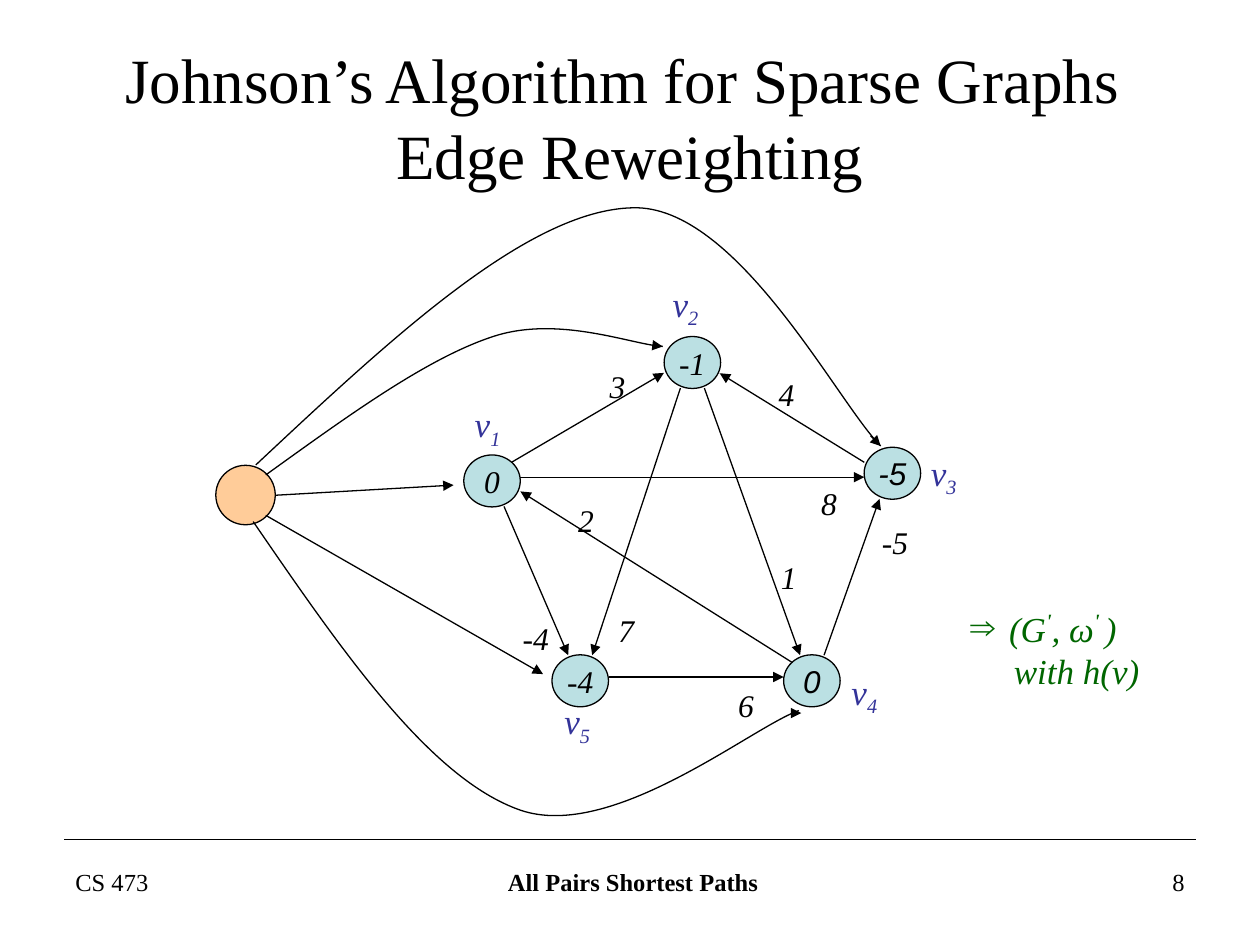
from dataclasses import dataclass

from lxml import etree
from pptx import Presentation
from pptx.dml.color import RGBColor
from pptx.enum.shapes import MSO_CONNECTOR, MSO_SHAPE
from pptx.enum.text import MSO_ANCHOR, MSO_AUTO_SIZE, PP_ALIGN
from pptx.oxml.ns import qn
from pptx.util import Pt

STRAIGHT = MSO_CONNECTOR.STRAIGHT
OVAL = MSO_SHAPE.OVAL
TOP, MIDDLE = MSO_ANCHOR.TOP, MSO_ANCHOR.MIDDLE
LEFT, CENTER, RIGHT = PP_ALIGN.LEFT, PP_ALIGN.CENTER, PP_ALIGN.RIGHT
FIT_SHAPE = MSO_AUTO_SIZE.SHAPE_TO_FIT_TEXT


@dataclass(frozen=True)
class Theme:
    ink: str = "000000"
    node: str = "BBE0E3"
    source: str = "FFCC99"
    name: str = "333399"
    note: str = "006600"
    serif: str = "Times New Roman"
    sans: str = "Arial"
    title_size: int = 36
    name_size: int = 20
    weight_size: int = 18
    footer_size: int = 14
    line_width: float = 0.75


THEME = Theme()

NODE_WIDTH, NODE_HEIGHT = 32.3, 29.7
NODES = [
    ("1", "0", THEME.serif, (0, 102), (-0.8, 68.3)),
    ("2", "-1", THEME.serif, (114.5, 34.3), (112.3, -0.3)),
    ("3", "-5", THEME.sans, (228.8, 97.6), (259.9, 96.2)),
    ("4", "0", THEME.sans, (182.8, 216.2), (214.5, 221.4)),
    ("5", "-4", THEME.serif, (50.4, 216.2), (50.4, 238)),
]
EDGES = [
    ("3", (76.3, 48.2), (27.3, 106.2), (114.4, 55.1)),
    ("4", (172.8, 52.5), (228.9, 106.2), (146.3, 55.3)),
    ("-5", (231.8, 137.2), (205.9, 216.4), (237.6, 127.1)),
    ("6", (149.7, 230.4), (82.8, 228.9), (182.8, 228.9)),
    ("-4", (26.6, 192.2), (23, 131.4), (59.7, 216.4)),
    ("7", (81.3, 187.9), (123.8, 63.8), (73.4, 216.4)),
    ("1", (174.2, 157.4), (137.5, 63.8), (192.2, 216.4)),
    ("2", (58.3, 124.5), (187.9, 220.7), (32.4, 122.8)),
    ("8", (197.2, 114.9), (32.4, 114.7), (228.9, 114.7)),
]
SOURCE_CURVES = [
    [(23.2, 148.7), (100.9, 76), (178.7, 3.2), (238.4, 1.8),
     (298.2, -0.4), (356.5, 114.8), (380.3, 137.9)],
    [(28.9, 154.4), (75, 121.3), (121.1, 87.5), (159.2, 75.2),
     (196.7, 63), (239.2, 80.3), (255.7, 81)],
    [(21.7, 181.1), (72.1, 254.5), (122.5, 328), (174.4, 346),
     (226.9, 364), (306.8, 298.4), (333.5, 289.1)],
]
SOURCE_ARROWS = [
    ((374.5, 132.1), (380.3, 137.9)),
    ((250, 80.3), (255.7, 81)),
    ((34.7, 166), (136.2, 160.2)),
    ((28.9, 177.5), (187.3, 268.2)),
    ((329.2, 290.5), (334.9, 290.5)),
]


def color(value):
    return RGBColor.from_string(value)


def moved(box, point):
    return box[0] + point[0], box[1] + point[1]


def write_text(frame, paragraphs, *, size, ink=THEME.ink, font=THEME.serif, bold=False,
               italic=False, align=LEFT, anchor=TOP, wrap=True, fit=False):
    frame.word_wrap = wrap
    frame.vertical_anchor = anchor
    if fit:
        frame.auto_size = FIT_SHAPE
    for index, runs in enumerate(paragraphs):
        paragraph = frame.paragraphs[0] if index == 0 else frame.add_paragraph()
        paragraph.alignment = align
        for text, baseline in runs:
            if text == "\n":
                paragraph.add_line_break()
                continue
            run = paragraph.add_run()
            run.text = text
            run.font.size = Pt(size)
            run.font.name = font
            run.font.bold = bold or baseline > 0
            run.font.italic = italic
            run.font.color.rgb = color(ink)
            if baseline:
                run.font._element.set("baseline", str(baseline * 1000))


def add_text(slide, box, paragraphs, **text_format):
    shape = slide.shapes.add_textbox(*map(Pt, box))
    write_text(shape.text_frame, paragraphs, **text_format)
    return shape


def set_line(shape):
    shape.line.color.rgb = color(THEME.ink)
    shape.line.width = Pt(THEME.line_width)


def add_circle(slide, box, fill):
    shape = slide.shapes.add_shape(OVAL, *map(Pt, box))
    shape.shadow.inherit = False
    shape.fill.solid()
    shape.fill.fore_color.rgb = color(fill)
    set_line(shape)
    return shape


def add_line(slide, start, end, arrow=True):
    connector = slide.shapes.add_connector(STRAIGHT, *map(Pt, start + end))
    set_line(connector)
    if arrow:
        etree.SubElement(connector.line._get_or_add_ln(), qn("a:tailEnd"), type="triangle")
    etree.SubElement(connector._element.spPr, qn("a:effectLst"))


def add_curve(slide, controls):
    points = [tuple(map(Pt, point)) for point in controls]
    builder = slide.shapes.build_freeform(*points[0])
    builder.add_line_segments(points[1:], close=False)
    shape = builder.convert_to_shape()
    shape.shadow.inherit = False
    shape.fill.background()
    set_line(shape)
    segments = list(shape._element.iter(qn("a:lnTo")))
    outline = segments[0].getparent()
    for first in range(0, len(segments), 3):
        curve = etree.SubElement(outline, qn("a:cubicBezTo"))
        for segment in segments[first:first + 3]:
            curve.append(segment[0])
            outline.remove(segment)


def add_title(slide, box):
    lines = [("Johnson’s Algorithm for Sparse Graphs ", 0), ("\n", 0), ("Edge Reweighting", 0)]
    add_text(slide, box, [lines], size=THEME.title_size, align=CENTER, anchor=MIDDLE)


def add_graph(slide, box):
    for name, value, font, position, name_position in NODES:
        node = add_circle(slide, (*moved(box, position), NODE_WIDTH, NODE_HEIGHT), THEME.node)
        write_text(node.text_frame, [[(value, 0)]], size=THEME.weight_size, font=font,
                   italic=True, align=CENTER, anchor=MIDDLE, wrap=False)
        add_text(slide, (*moved(box, name_position), 31, 34.6), [[("v", 0), (name, -25)]],
                 size=THEME.name_size, ink=THEME.name, italic=True)
    for weight, position, start, end in EDGES:
        add_line(slide, moved(box, start), moved(box, end))
        width = 17 + 6.2 * len(weight)
        add_text(slide, (*moved(box, position), width, 28.8), [[(weight, 0)]],
                 size=THEME.weight_size, italic=True, wrap=False, fit=True)


def add_source(slide, box):
    add_circle(slide, (*moved(box, (0.3, 148.9)), 34, 34), THEME.source)
    for controls in SOURCE_CURVES:
        add_curve(slide, [moved(box, point) for point in controls])
    for start, end in SOURCE_ARROWS:
        add_line(slide, moved(box, start), moved(box, end))


def add_note(slide, box):
    shape = add_text(slide, box,
                     [[("(G", 0), ("'", 40), (", ω", 0), ("' ", 40), (")", 0)],
                      [("with h(v)", 0)]],
                     size=THEME.name_size, ink=THEME.note, italic=True, fit=True)
    for paragraph, margin, indent in zip(shape.text_frame.paragraphs, (22.3, 25), (-22.3, 0)):
        properties = paragraph._p.get_or_add_pPr()
        properties.set("marL", str(Pt(margin)))
        properties.set("indent", str(Pt(indent)))
    bullet = shape.text_frame.paragraphs[0]._p.get_or_add_pPr()
    bullet_color = etree.SubElement(bullet, qn("a:buClr"))
    etree.SubElement(bullet_color, qn("a:srgbClr"), val=THEME.note)
    etree.SubElement(bullet, qn("a:buFont"), typeface=THEME.serif)
    etree.SubElement(bullet, qn("a:buChar"), char="⇒")


def add_footer(slide, box):
    left, top, width, height = box
    add_line(slide, (left + 0.7, top - 12.3), (left + width - 0.7, top - 12.3), arrow=False)
    side, middle = 168, 228
    parts = [
        ("CS 473", left, side, LEFT, False),
        ("All Pairs Shortest Paths", left + (width - middle) / 2 + 1.8, middle, CENTER, True),
        ("8", left + width - side, side, RIGHT, False),
    ]
    for text, part_left, part_width, align, bold in parts:
        add_text(slide, (part_left, top, part_width, height), [[(text, 0)]],
                 size=THEME.footer_size, align=align, bold=bold)


def main():
    presentation = Presentation()
    presentation.slide_width, presentation.slide_height = Pt(720), Pt(540)
    slide = presentation.slides.add_slide(presentation.slide_layouts[6])
    add_footer(slide, (36, 492, 648, 37.5))
    add_title(slide, (36, 44.6, 648, 44))
    add_graph(slide, (265, 158))
    add_source(slide, (123, 117))
    add_note(slide, (547.2, 343.4, 123, 55.4))
    presentation.save("out.pptx")


if __name__ == "__main__":
    main()
